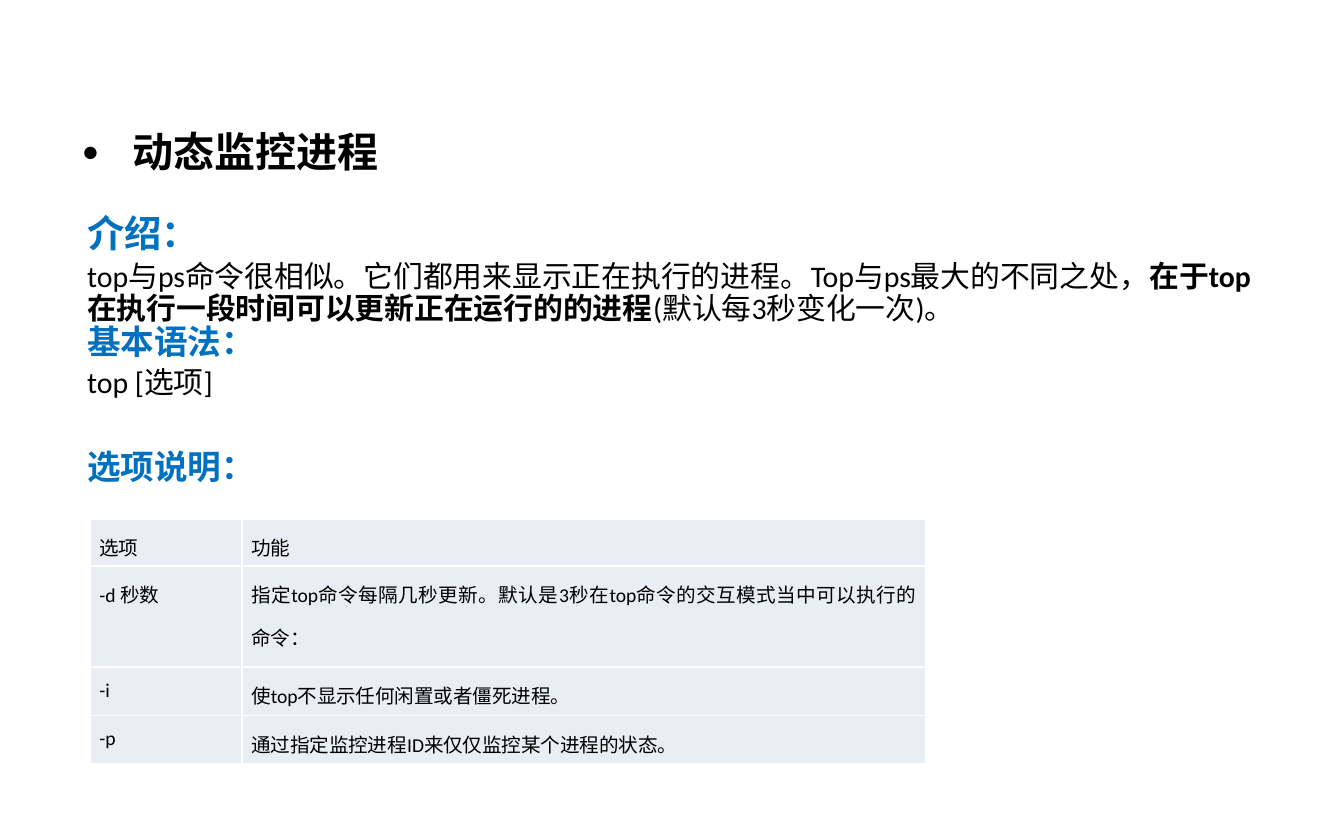
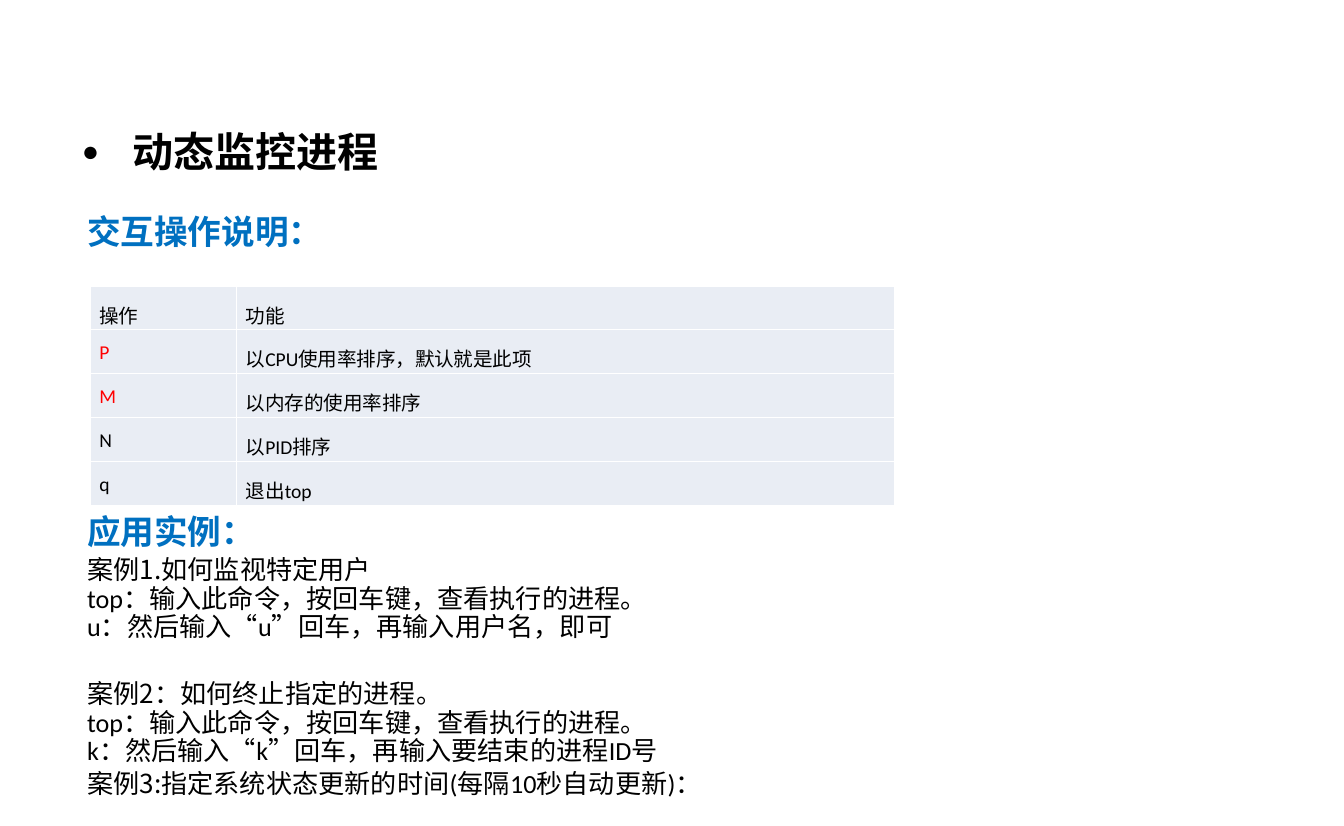
from copy import deepcopy
from dataclasses import dataclass

from lxml.etree import SubElement
from pptx import Presentation
from pptx.dml.color import RGBColor
from pptx.enum.text import MSO_AUTO_SIZE, PP_ALIGN
from pptx.oxml.ns import qn
from pptx.util import Inches, Pt


@dataclass(frozen=True)
class Theme:
    """Colours, fonts and type sizes shared by the slides."""
    black: str = "000000"
    blue: str = "0070C0"
    red: str = "FF0000"
    white: str = "FFFFFF"
    cell: str = "E9EDF4"
    title_font: str = "Arial"
    body_font: str = "Calibri"
    cjk_font: str = "Noto Sans CJK SC"
    title: float = 22
    intro: float = 20
    heading: float = 18
    body: float = 16
    example: float = 14
    table: float = 10.5


THEME = Theme()


def add_text(paragraph, text, *, size, font=THEME.body_font, east_asian=None,
             color=THEME.black, bold=False):
    """Append formatted text, turning each newline into a line break."""
    for index, line in enumerate(text.split("\n")):
        if index:
            paragraph.add_line_break()
            paragraph._p[-1].append(deepcopy(run._r.rPr))
        if not line:
            continue
        run = paragraph.add_run()
        run.text = line
        run.font.size = Pt(size)
        run.font.bold = bold
        run.font.name = font
        run.font.color.rgb = RGBColor.from_string(color)
        SubElement(run._r.rPr, qn("a:ea"), typeface=east_asian or font)


def add_heading(paragraph, text, size=THEME.heading):
    """Append a bold blue heading."""
    add_text(paragraph, text, size=size, color=THEME.blue, bold=True)


def add_text_box(slide, left, top, width, height):
    """Add a wrapping text box that grows with its text."""
    shape = slide.shapes.add_textbox(*map(Inches, (left, top, width, height)))
    frame = shape.text_frame
    frame.word_wrap = True
    frame.auto_size = MSO_AUTO_SIZE.SHAPE_TO_FIT_TEXT
    frame.paragraphs[0].line_spacing = 0.9
    return frame


def next_paragraph(frame, space_before):
    """Start a new paragraph with the given points of space before it."""
    paragraph = frame.add_paragraph()
    paragraph.line_spacing = 0.9
    paragraph.space_before = Pt(space_before)
    return paragraph


def add_bullet(paragraph):
    """Give a paragraph a round bullet with a hanging indent."""
    properties = paragraph._p.get_or_add_pPr()
    properties.set("marL", str(Inches(0.38)))
    properties.set("indent", str(-Inches(0.38)))
    color = SubElement(properties, qn("a:buClr"))
    SubElement(color, qn("a:srgbClr"), val=THEME.black)
    SubElement(properties, qn("a:buSzPct"), val="70000")
    SubElement(properties, qn("a:buFont"), typeface=THEME.title_font)
    SubElement(properties, qn("a:buChar"), char="●")


def add_titled_slide(presentation, title):
    """Add a blank slide with the bulleted title."""
    slide = presentation.slides.add_slide(presentation.slide_layouts[6])
    frame = add_text_box(slide, 0.51, 0.93, 7.95, 0.43)
    add_bullet(frame.paragraphs[0])
    add_text(frame.paragraphs[0], title, size=THEME.title,
             font=THEME.title_font, bold=True)
    return slide


def style_cell(cell, text, color):
    """Fill, border and write one table cell."""
    properties = cell._tc.get_or_add_tcPr()
    for side in ("lnL", "lnR", "lnT", "lnB"):
        line = SubElement(properties, qn(f"a:{side}"), w=str(Pt(1)))
        fill = SubElement(line, qn("a:solidFill"))
        SubElement(fill, qn("a:srgbClr"), val=THEME.white)
    cell.fill.solid()
    cell.fill.fore_color.rgb = RGBColor.from_string(THEME.cell)
    cell.margin_left = cell.margin_right = Inches(0.07)
    cell.margin_top = cell.margin_bottom = 0
    paragraph = cell.text_frame.paragraphs[0]
    paragraph.alignment = PP_ALIGN.JUSTIFY
    paragraph.line_spacing = 1.5
    add_text(paragraph, text, size=THEME.table, east_asian=THEME.cjk_font,
             color=color)


def add_option_table(slide, top, widths, heights, rows, red_keys=()):
    """Add a two-column table of keys and what they do."""
    table = slide.shapes.add_table(
        len(rows), len(widths), Inches(0.67), Inches(top),
        Inches(sum(widths)), Inches(sum(heights))).table
    table.first_row = table.horz_banding = False
    for column, width in zip(table.columns, widths):
        column.width = Inches(width)
    for row, height, texts in zip(table.rows, heights, rows):
        row.height = Inches(height)
        for index, (cell, text) in enumerate(zip(row.cells, texts)):
            is_red = index == 0 and text in red_keys
            style_cell(cell, text, THEME.red if is_red else THEME.black)


def build_usage_slide(presentation):
    """Explain the command, its syntax and its options."""
    slide = add_titled_slide(presentation, "动态监控进程")
    frame = add_text_box(slide, 0.55, 1.55, 9.02, 4.18)
    add_heading(frame.paragraphs[0], "介绍：", THEME.intro)
    intro = next_paragraph(frame, 3.2)
    add_text(intro, "top与ps命令很相似。它们都用来显示正在执行的进程。"
             "Top与ps最大的不同之处，", size=THEME.body)
    add_text(intro, "在于top在执行一段时间可以更新正在运行的的进程",
             size=THEME.body, bold=True)
    add_text(intro, "(默认每3秒变化一次)。\n", size=THEME.body)
    add_heading(intro, "基本语法：")
    add_text(next_paragraph(frame, 3.2), "top [选项]", size=THEME.body)
    add_heading(next_paragraph(frame, 27), "选项说明：")
    add_option_table(slide, 3.86, (1.13, 5.09), (0.35, 0.75, 0.36, 0.36), (
        ("选项", "功能"),
        ("-d 秒数", "指定top命令每隔几秒更新。默认是3秒在top命令的交互模式"
                  "当中可以执行的命令："),
        ("-i", "使top不显示任何闲置或者僵死进程。"),
        ("-p", "通过指定监控进程ID来仅仅监控某个进程的状态。"),
    ))


def build_interaction_slide(presentation):
    """Explain the interactive keys and show example cases."""
    slide = add_titled_slide(presentation, "动态监控进程")
    frame = add_text_box(slide, 0.55, 1.55, 9.02, 4.59)
    add_heading(frame.paragraphs[0], "交互操作说明：")
    add_heading(next_paragraph(frame, 141.5), "应用实例：")
    run_top = "top：输入此命令，按回车键，查看执行的进程。"
    cases = (
        (2.8, "案例1.如何", f"监视特定用户\n{run_top}\n"
         "u：然后输入“u”回车，再输入用户名，即可"),
        (21, "案例2：如何", f"终止指定的进程。\n{run_top}\n"
         "k：然后输入“k”回车，再输入要结束的进程ID号"),
        (2.8, "案例3:", "指定系统状态更新的时间(每隔10秒自动更新)："),
    )
    for space_before, label, steps in cases:
        paragraph = next_paragraph(frame, space_before)
        add_text(paragraph, label, size=THEME.example, font=THEME.cjk_font)
        add_text(paragraph, steps, size=THEME.example,
                 east_asian=THEME.cjk_font)
    row_height = (1.63 - 0.32) / 4
    add_option_table(slide, 2.13, (1.09, 4.9), (0.32,) + (row_height,) * 4, (
        ("操作", "功能"),
        ("P", "以CPU使用率排序，默认就是此项 "),
        ("M", "以内存的使用率排序"),
        ("N", "以PID排序"),
        ("q", "退出top"),
    ), red_keys=("P", "M"))


def main():
    """Build and save the presentation."""
    presentation = Presentation()
    presentation.slide_width = Inches(10)
    presentation.slide_height = Pt(442.25)
    presentation.element.sldSz.attrib.pop("type", None)
    build_usage_slide(presentation)
    build_interaction_slide(presentation)
    presentation.save("out.pptx")


if __name__ == "__main__":
    main()
